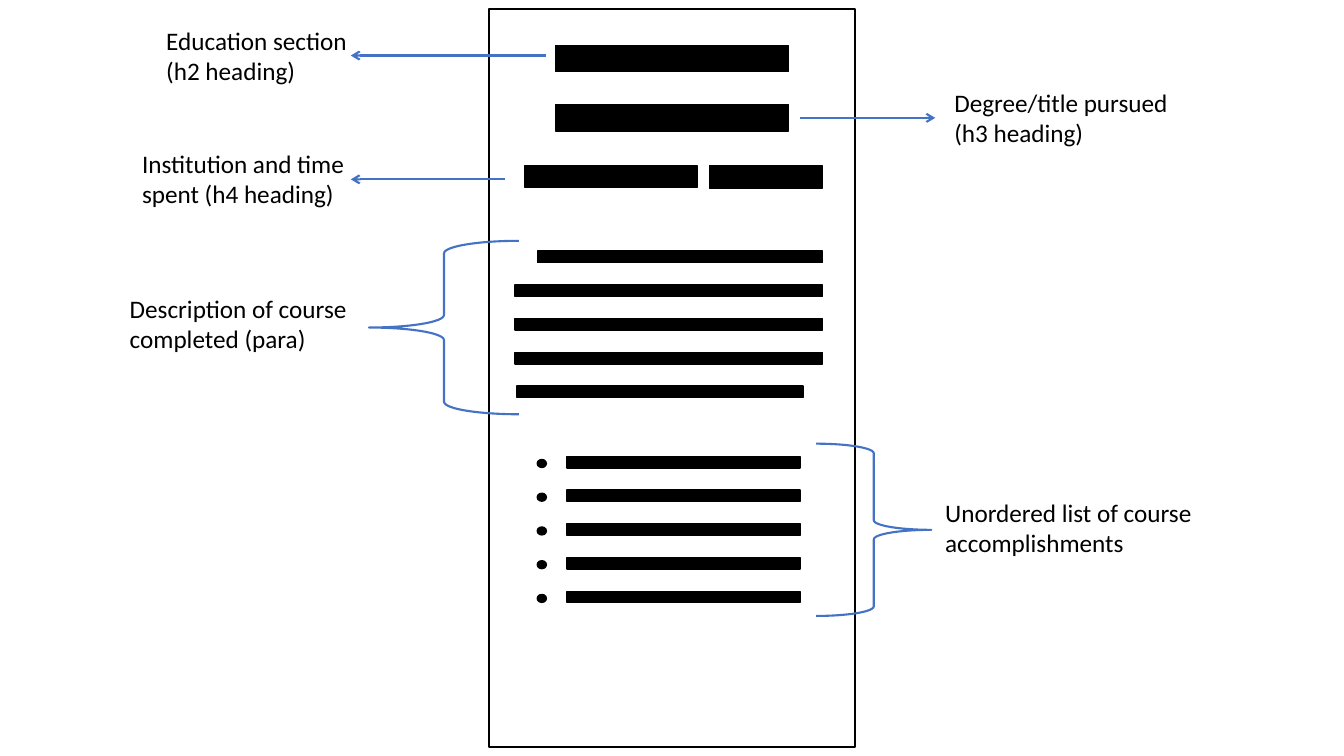
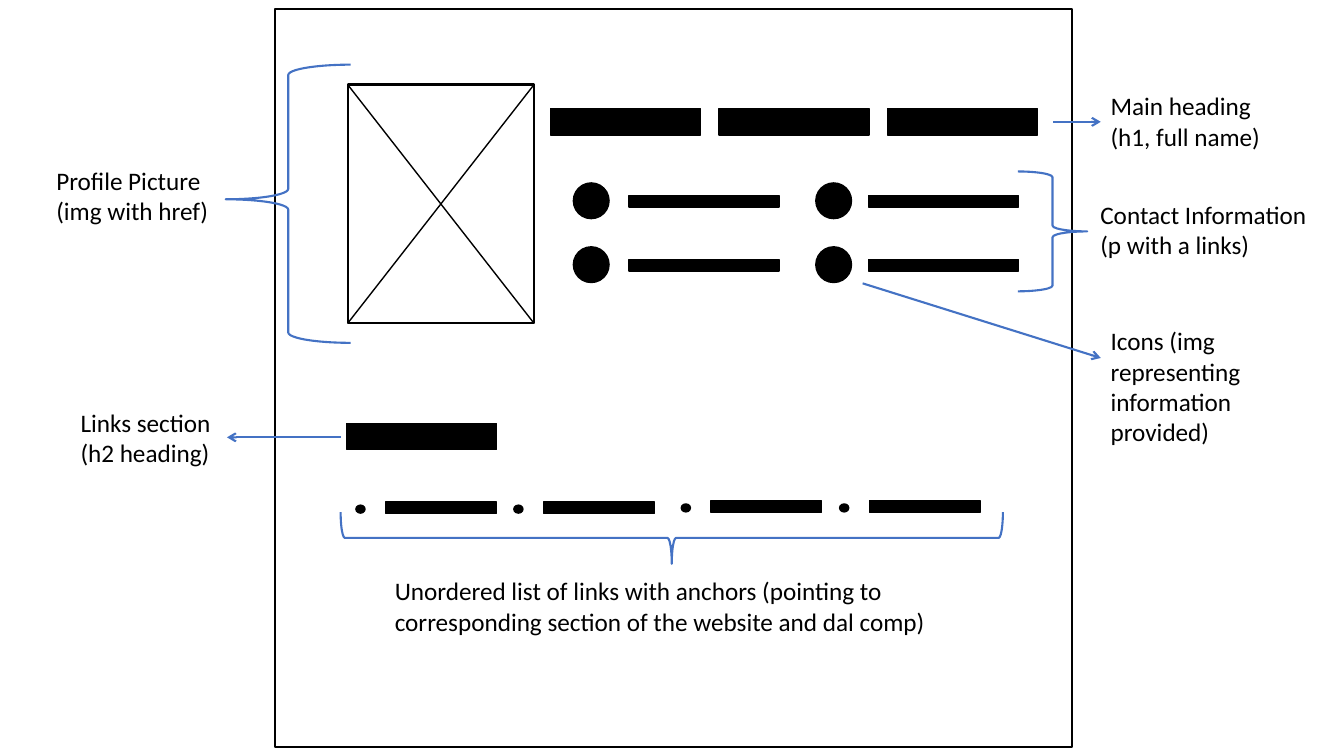
from dataclasses import dataclass

from lxml import etree
from pptx import Presentation
from pptx import util as u
from pptx.dml.color import RGBColor
from pptx.enum import shapes, text
from pptx.oxml.ns import qn

Cm, Pt = u.Cm, u.Pt
Preset = shapes.MSO_SHAPE


@dataclass(frozen=True)
class Theme:
    ink: RGBColor = RGBColor(0x00, 0x00, 0x00)
    accent: RGBColor = RGBColor(0x44, 0x72, 0xC4)
    font: str = "Calibri"
    label_size: float = 18
    thin: float = 1
    thick: float = 1.5
    heading_height: float = 0.66
    bar_height: float = 0.29
    line_pitch: float = 0.85
    frame_top: float = 0.23
    frame_height: float = 18.59


THEME = Theme()


def add_preset(page, preset, left, top, width, height, color, weight, filled=False):
    shape = page.shapes.add_shape(preset, Cm(left), Cm(top), Cm(width), Cm(height))
    shape.shadow.inherit = False
    if filled:
        shape.fill.solid()
        shape.fill.fore_color.rgb = color
    else:
        shape.fill.background()
    shape.line.color.rgb = color
    shape.line.width = Pt(weight)
    return shape


def add_outline(page, left, top, width, height):
    add_preset(page, Preset.RECTANGLE, left, top, width, height, THEME.ink, THEME.thick)


def add_frame(page, left, width):
    add_outline(page, left, THEME.frame_top, width, THEME.frame_height)


def add_bar(page, left, top, width, height=THEME.bar_height):
    add_preset(page, Preset.RECTANGLE, left, top, width, height, THEME.ink, THEME.thin, True)


def add_heading(page, left, top, width):
    add_bar(page, left, top, width, THEME.heading_height)


def add_dot(page, left, top, width, height):
    add_preset(page, Preset.OVAL, left, top, width, height, THEME.ink, THEME.thin, True)


def add_list_item(page, left, top, width):
    add_dot(page, left, top + 0.08, 0.23, 0.2)
    add_bar(page, left + 0.75, top, width)


def add_brace(page, left, top, width, height, rotation=0, adjustments=()):
    brace = add_preset(page, Preset.LEFT_BRACE, left, top, width, height, THEME.accent, THEME.thick)
    brace.rotation = rotation
    for index, value in enumerate(adjustments):
        brace.adjustments[index] = value


def add_line(page, start, end, color, weight, arrow=False):
    line = page.shapes.add_connector(
        shapes.MSO_CONNECTOR.STRAIGHT, *(Cm(value) for value in (*start, *end))
    )
    line.line.color.rgb = color
    line.line.width = Pt(weight)
    if arrow:
        etree.SubElement(line.line._get_or_add_ln(), qn("a:tailEnd"), type="arrow")
    etree.SubElement(line._element.spPr, qn("a:effectLst"))


def add_arrow(page, start, end):
    add_line(page, start, end, THEME.accent, THEME.thick, arrow=True)


def add_label(page, left, top, width, *lines, height=1.8):
    box = page.shapes.add_textbox(Cm(left), Cm(top), Cm(width), Cm(height))
    frame = box.text_frame
    frame.word_wrap = True
    frame.auto_size = text.MSO_AUTO_SIZE.SHAPE_TO_FIT_TEXT
    for index, line in enumerate(lines):
        para = frame.add_paragraph() if index else frame.paragraphs[0]
        span = para.add_run()
        span.text = line
        span.font.name = THEME.font
        span.font.size = Pt(THEME.label_size)
        span.font.color.rgb = THEME.ink


def add_placeholder_image(page, left, top, width, height):
    right, bottom = left + width, top + height
    add_outline(page, left, top, width, height)
    add_line(page, (left, bottom), (right, top), THEME.ink, THEME.thin)
    add_line(page, (right, bottom), (left, top), THEME.ink, THEME.thin)


def build_education(page):
    add_frame(page, 12.32, 9.22)
    for top in (1.14, 2.64):
        add_heading(page, 14, top, 5.87)
    add_bar(page, 13.23, 4.17, 4.34, 0.56)
    add_bar(page, 17.88, 4.17, 2.84, 0.58)

    description = [(13.54, 7.19), *[(12.98, 7.75)] * 3, (13.03, 7.21)]
    for row, (left, width) in enumerate(description):
        add_bar(page, left, 6.33 + row * THEME.line_pitch, width)
    for row in range(5):
        add_list_item(page, 13.54, 11.5 + row * THEME.line_pitch, 5.87)

    add_arrow(page, (13.77, 1.4), (8.84, 1.4))
    add_label(page, 3.94, 0.51, 5.49, "Education section ", "(h2 heading)")
    add_arrow(page, (20.17, 2.97), (23.57, 2.97))
    add_label(page, 23.8, 2.08, 6.12, "Degree/title pursued", "(h3 heading)")
    add_arrow(page, (12.73, 4.52), (8.84, 4.52))
    add_label(page, 3.33, 3.61, 6.55, "Institution and time spent (h4 heading)")
    add_brace(page, 9.3, 6.07, 3.78, 4.37)
    add_label(page, 3.02, 7.26, 6.27, "Description of course completed (para)")
    add_brace(page, 20.57, 11.18, 2.9, 4.34, rotation=180)
    add_label(page, 23.57, 12.4, 6.76, "Unordered list of course accomplishments")


def build_header(page):
    add_placeholder_image(page, 8.76, 2.13, 4.7, 6.02)
    add_frame(page, 6.93, 20.09)
    for column in range(3):
        add_heading(page, 13.87 + column * 4.25, 2.74, 3.78)
    for icon_left, bar_left in ((14.45, 15.85), (20.56, 21.89)):
        for row in range(2):
            offset = row * 1.61
            add_dot(page, icon_left, 4.61 + offset, 0.9, 0.9)
            add_bar(page, bar_left, 4.93 + offset, 3.78)
    add_heading(page, 8.74, 10.67, 3.78)
    for left, top in ((8.97, 12.65), (12.95, 12.65), (17.17, 12.62), (21.16, 12.62)):
        add_list_item(page, left, top, 2.79)

    add_brace(page, 5.69, 1.63, 3.15, 7.01, adjustments=(0.083, 0.484))
    add_label(page, 1.17, 4.04, 4.6, "Profile Picture", "(img with href)")
    add_arrow(page, (26.54, 3.07), (27.74, 3.07))
    add_label(page, 27.74, 2.16, 4.6, "Main heading (h1, full name)")
    add_brace(page, 25.65, 4.32, 1.75, 3.02, rotation=180)
    add_label(page, 27.48, 4.9, 6.32, "Contact Information (p with a links)")
    add_arrow(page, (21.74, 7.14), (27.74, 9.02))
    add_label(page, 27.74, 8.08, 4.47, "Icons (img representing information provided)", height=3.33)
    add_arrow(page, (8.59, 11.02), (5.72, 11.02))
    add_label(page, 1.78, 10.13, 4.6, "Links section (h2 heading)")
    add_brace(page, 16.28, 5.21, 1.3, 16.69, rotation=270)
    add_label(
        page, 9.7, 14.38, 14.25,
        "Unordered list of links with anchors (pointing to corresponding section "
        "of the website and dal comp)",
    )


def main():
    deck = Presentation()
    deck.slide_width, deck.slide_height = Cm(33.87), Cm(19.05)
    blank = deck.slide_layouts[6]
    for build in (build_education, build_header):
        build(deck.slides.add_slide(blank))
    deck.save("out.pptx")


main()
